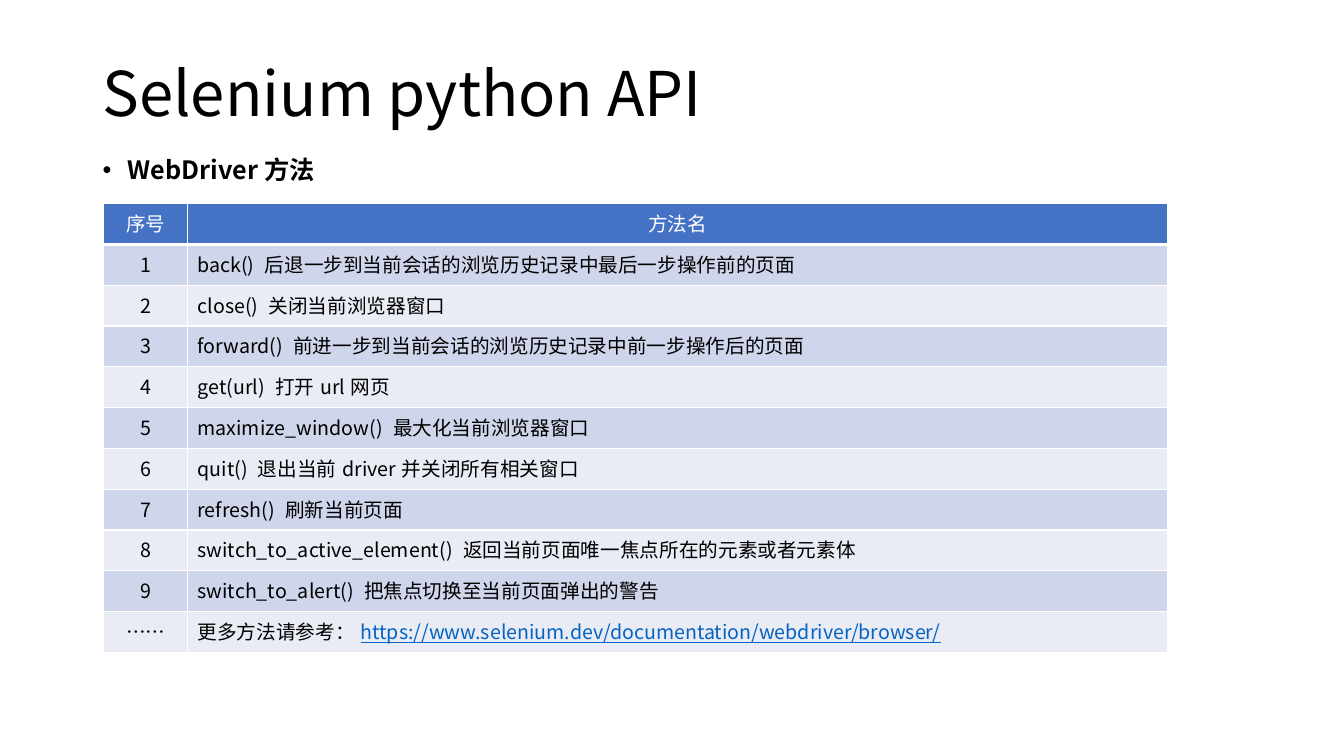
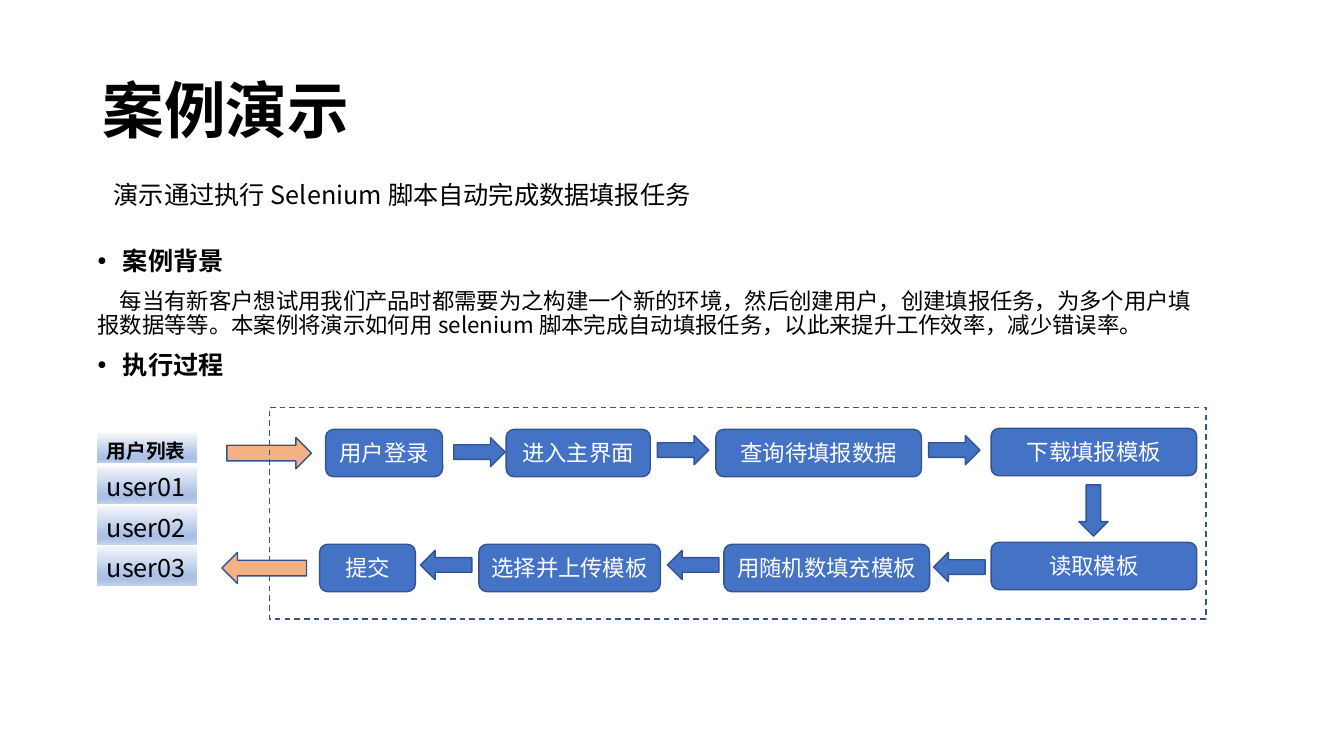
"""Builds two slides: a WebDriver method table and an automation case flow."""
from dataclasses import dataclass

from lxml import etree
from pptx import Presentation
from pptx.dml.color import RGBColor
from pptx.enum.dml import MSO_LINE
from pptx.enum.shapes import MSO_SHAPE
from pptx.enum.text import MSO_ANCHOR, PP_ALIGN
from pptx.oxml.ns import qn
from pptx.util import Inches, Pt

CENTER = PP_ALIGN.CENTER
MIDDLE = MSO_ANCHOR.MIDDLE
ROUNDED = MSO_SHAPE.ROUNDED_RECTANGLE
ARROW = MSO_SHAPE.RIGHT_ARROW
RECTANGLE = MSO_SHAPE.RECTANGLE
DASH = MSO_LINE.DASH


@dataclass(frozen=True)
class Theme:
    """Holds the colours, font and type sizes that the slides share."""
    font: str = "Noto Sans CJK SC"
    ink: str = "000000"
    white: str = "FFFFFF"
    blue: str = "4472C4"
    outline: str = "325491"
    orange: str = "F4B183"
    link: str = "0563C1"
    bands: tuple = ("CFD5EA", "E9EBF5")
    gradient: tuple = ((0, "F6F8FC"), (74, "ABC0E4"), (83, "ABC0E4"), (100, "C7D5ED"))
    title: int = 44
    heading: int = 18
    body: int = 16
    cell: int = 14
    tight: float = 0.9


THEME = Theme()

METHODS = [
    "back() 后退一步到当前会话的浏览历史记录中最后一步操作前的页面",
    "close() 关闭当前浏览器窗口",
    "forward() 前进一步到当前会话的浏览历史记录中前一步操作后的页面",
    "get(url) 打开url网页",
    "maximize_window() 最大化当前浏览器窗口",
    "quit() 退出当前driver并关闭所有相关窗口",
    "refresh() 刷新当前页面",
    "switch_to_active_element() 返回当前页面唯一焦点所在的元素或者元素体",
    "switch_to_alert() 把焦点切换至当前页面弹出的警告",
]
MORE_METHODS = "更多方法请参考："
MORE_URL = "https://www.selenium.dev/documentation/webdriver/browser/"

BACKGROUND = (
    "每当有新客户想试用我们产品时都需要为之构建一个新的环境，然后创建用户，创建填报任务，"
    "为多个用户填报数据等等。本案例将演示如何用selenium脚本完成自动填报任务，"
    "以此来提升工作效率，减少错误率。"
)

STEPS = [
    ("用户登录", 3.23, 4.26, 1.16),
    ("进入主界面", 5.02, 4.26, 1.43),
    ("查询待填报数据", 7.1, 4.26, 2.04),
    ("下载填报模板", 9.83, 4.25, 2.04),
    ("读取模板", 9.83, 5.38, 2.04),
    ("用随机数填充模板", 7.18, 5.4, 2.04),
    ("选择并上传模板", 4.75, 5.4, 1.8),
    ("提交", 3.17, 5.4, 0.95),
]
STEP_ARROWS = [
    (4.5, 4.34, 0), (6.52, 4.32, 0), (9.21, 4.32, 0), (10.59, 4.92, 90),
    (9.26, 5.48, 180), (6.62, 5.46, 180), (4.17, 5.46, 180),
]


def rgb(value):
    """Turns a hex string into a colour."""
    return RGBColor.from_string(value)


def write(paragraph, text, size=THEME.cell, color=THEME.ink, bold=False,
          underline=False, align=None, spacing=None, before=None):
    """Adds a run of formatted text to a paragraph."""
    if align is not None:
        paragraph.alignment = align
    if spacing is not None:
        paragraph.line_spacing = spacing
    if before is not None:
        paragraph.space_before = Pt(before)
    run = paragraph.add_run()
    run.text = text
    font = run.font
    font.size, font.bold, font.underline = Pt(size), bold, underline
    font.color.rgb = rgb(color)
    font.name = THEME.font
    etree.SubElement(run._r.get_or_add_rPr(), qn("a:ea"), typeface=THEME.font)


def indent(paragraph, first, left=0):
    """Sets the first-line and left indents of a paragraph."""
    properties = paragraph._p.get_or_add_pPr()
    properties.set("marL", str(Inches(left)))
    properties.set("indent", str(Inches(first)))
    return properties


def add_text_box(slide, left, top, width, height, anchor=None):
    """Adds a wrapping text box and returns its text frame."""
    frame = slide.shapes.add_textbox(
        Inches(left), Inches(top), Inches(width), Inches(height)).text_frame
    frame.word_wrap = True
    if anchor is not None:
        frame.vertical_anchor = anchor
    return frame


def add_title(slide, text, top, bold=False):
    """Adds the slide title."""
    frame = add_text_box(slide, 0.92, top, 11.5, 1.45, MIDDLE)
    write(frame.paragraphs[0], text, size=THEME.title, bold=bold, spacing=THEME.tight)


def write_heading(paragraph, text):
    """Writes a bold bulleted heading."""
    write(paragraph, text, size=THEME.heading, bold=True, spacing=THEME.tight, before=10)
    properties = indent(paragraph, -0.25, 0.25)
    etree.SubElement(properties, qn("a:buFont"), typeface="Arial")
    etree.SubElement(properties, qn("a:buChar"), char="•")


def add_box(slide, preset, left, top, width, height, fill=None, rotation=0):
    """Adds an outlined preset shape, unfilled when no fill is given."""
    box = slide.shapes.add_shape(
        preset, Inches(left), Inches(top), Inches(width), Inches(height))
    box.shadow.inherit = False
    box.rotation = rotation
    if fill:
        box.fill.solid()
        box.fill.fore_color.rgb = rgb(fill)
    else:
        box.fill.background()
    box.line.color.rgb = rgb(THEME.outline)
    box.line.width = Pt(1)
    return box


def add_step(slide, label, left, top, width):
    """Adds one labelled step of the flow."""
    frame = add_box(slide, ROUNDED, left, top, width, 0.47, THEME.blue).text_frame
    frame.margin_left = frame.margin_right = Inches(0.05)
    frame.word_wrap = True
    frame.vertical_anchor = MIDDLE
    write(frame.paragraphs[0], label, size=THEME.body, color=THEME.white, align=CENTER)


def add_grid(slide, left, top, widths, heights):
    """Adds an unbanded table with the given column widths and row heights."""
    table = slide.shapes.add_table(
        len(heights), len(widths), Inches(left), Inches(top),
        Inches(sum(widths)), Inches(sum(heights))).table
    table.first_row = table.horz_banding = False
    for column, width in zip(table.columns, widths):
        column.width = Inches(width)
    for row, height in zip(table.rows, heights):
        row.height = Inches(height)
    return table


def add_borders(cell, top=1, bottom=1):
    """Draws white borders around a cell."""
    properties = cell._tc.get_or_add_tcPr()
    sides = (("L", 1), ("R", 1), ("T", top), ("B", bottom))
    for position, (side, width) in enumerate(sides):
        border = etree.Element(qn(f"a:ln{side}"), w=str(Pt(width)))
        solid = etree.SubElement(border, qn("a:solidFill"))
        etree.SubElement(solid, qn("a:srgbClr"), val=THEME.white)
        properties.insert(position, border)


def fill_solid(cell, color):
    """Fills a cell with one colour."""
    cell.fill.solid()
    cell.fill.fore_color.rgb = rgb(color)


def fill_gradient(cell):
    """Fills a cell with the theme's vertical gradient."""
    gradient = etree.SubElement(cell._tc.get_or_add_tcPr(), qn("a:gradFill"))
    stops = etree.SubElement(gradient, qn("a:gsLst"))
    for percent, color in THEME.gradient:
        stop = etree.SubElement(stops, qn("a:gs"), pos=str(percent * 1000))
        etree.SubElement(stop, qn("a:srgbClr"), val=color)
    etree.SubElement(gradient, qn("a:lin"), ang="5400000", scaled="0")


def add_method_table(slide):
    """Adds the numbered table of WebDriver methods."""
    rows = [("序号", "方法名")]
    rows += [(str(number), method) for number, method in enumerate(METHODS, 1)]
    rows.append(("……", MORE_METHODS))
    table = add_grid(slide, 1.03, 2.02, [0.83, 9.72], [0.405] * len(rows))
    for index, row in enumerate(rows):
        header = index == 0
        for column, text in enumerate(row):
            cell = table.cell(index, column)
            fill_solid(cell, THEME.blue if header else THEME.bands[(index - 1) % 2])
            add_borders(cell, top=3 if index == 1 else 1, bottom=3 if header else 1)
            write(cell.text_frame.paragraphs[0], text,
                  color=THEME.white if header else THEME.ink,
                  align=CENTER if header or column == 0 else None)
    write(table.cell(len(rows) - 1, 1).text_frame.paragraphs[0], MORE_URL,
          color=THEME.link, underline=True)


def add_user_table(slide):
    """Adds the list of users that feeds the flow."""
    users = ["用户列表", "user01", "user02", "user03"]
    table = add_grid(slide, 0.96, 4.29, [1], [0.32, 0.4, 0.4, 0.41])
    for index, user in enumerate(users):
        header = index == 0
        cell = table.cell(index, 0)
        cell.margin_top, cell.margin_bottom = Inches(0.03), 0
        fill_gradient(cell)
        add_borders(cell, top=3 if index == 1 else 1, bottom=3 if header else 1)
        write(cell.text_frame.paragraphs[0], user, bold=header,
              size=THEME.cell if header else THEME.heading)


def build_api_slide(slide):
    """Builds the slide on the Python API."""
    add_title(slide, "Selenium python API", 0.23)
    write_heading(add_text_box(slide, 0.92, 1.52, 11.3, 5.74).paragraphs[0], "WebDriver方法")
    add_method_table(slide)


def build_case_slide(slide):
    """Builds the case demonstration slide."""
    add_title(slide, "案例演示", 0.4, bold=True)
    case = add_text_box(slide, 0.87, 2.42, 11.13, 4.51)
    write_heading(case.paragraphs[0], "案例背景")
    background = case.add_paragraph()
    write(background, BACKGROUND, size=THEME.body, spacing=THEME.tight, before=10)
    indent(background, 0.22)
    write_heading(case.add_paragraph(), "执行过程")

    summary = add_text_box(slide, 0.97, 1.73, 11.4, 0.4).paragraphs[0]
    write(summary, "演示通过执行Selenium脚本自动完成数据填报任务", size=THEME.heading)
    indent(summary, 0.06)

    for step in STEPS:
        add_step(slide, *step)
    for left, top, rotation in STEP_ARROWS:
        add_box(slide, ARROW, left, top, 0.51, 0.29, THEME.blue, rotation)
    add_user_table(slide)
    add_box(slide, ARROW, 2.25, 4.34, 0.84, 0.31, THEME.orange)
    add_box(slide, RECTANGLE, 2.67, 4.04, 9.29, 2.1).line.dash_style = DASH
    add_box(slide, ARROW, 2.2, 5.48, 0.84, 0.31, THEME.orange, 180)


def main():
    """Builds and saves the presentation."""
    deck = Presentation()
    deck.slide_width, deck.slide_height = Inches(13.33), Inches(7.5)
    blank = deck.slide_layouts[6]
    for build in (build_api_slide, build_case_slide):
        build(deck.slides.add_slide(blank))
    deck.save("out.pptx")


main()
